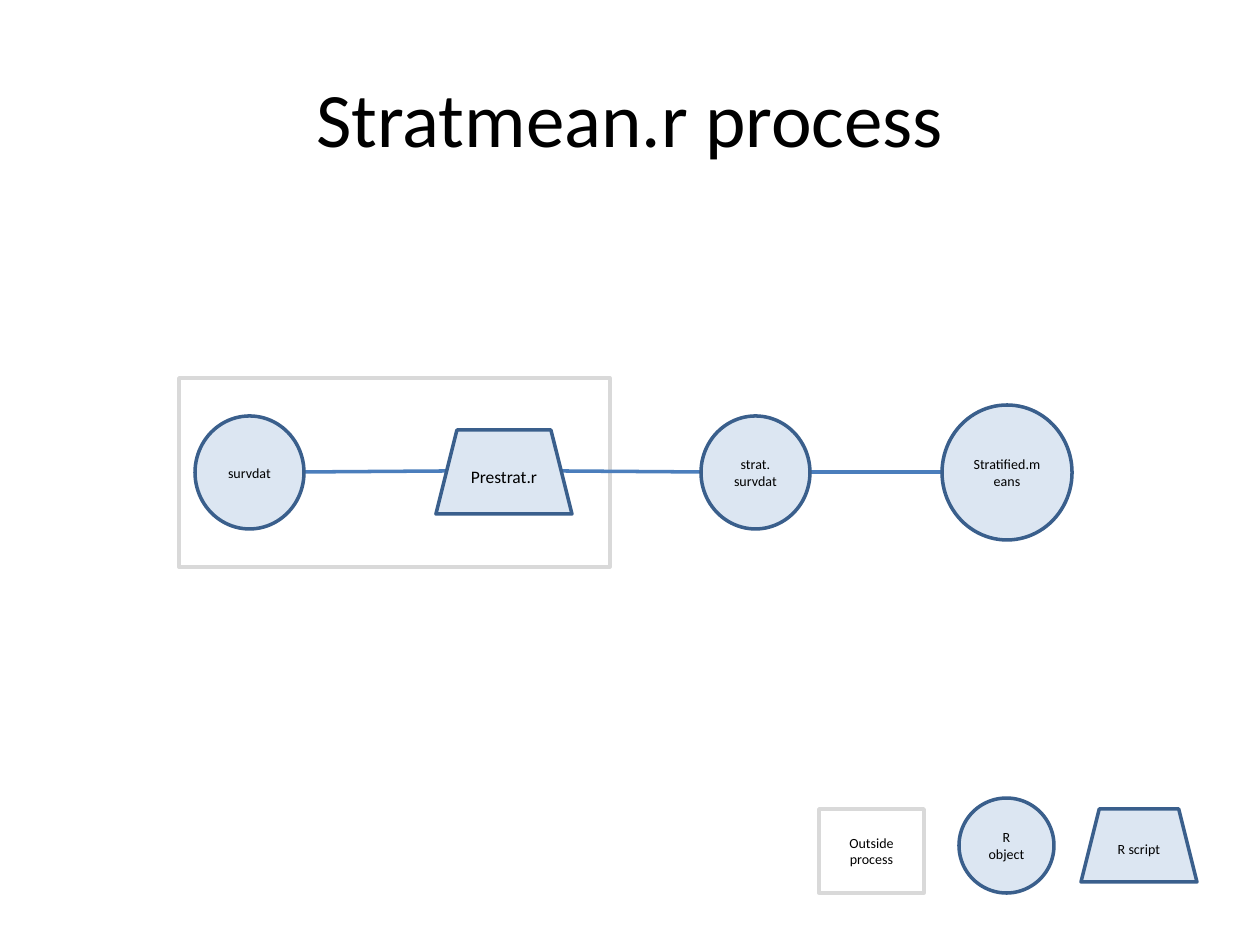
from lxml.etree import SubElement
from pptx import Presentation
from pptx.dml.color import RGBColor
from pptx.enum.shapes import MSO_CONNECTOR as Connector, MSO_SHAPE as Shape
from pptx.enum.text import MSO_ANCHOR as Anchor, PP_ALIGN as Align
from pptx.oxml.ns import qn
from pptx.util import Inches, Pt

BLACK = RGBColor(0x00, 0x00, 0x00)
PALE_BLUE = RGBColor(0xDC, 0xE6, 0xF2)
OUTLINE_BLUE = RGBColor(0x3A, 0x5F, 0x8C)
LINK_BLUE = RGBColor(0x4B, 0x7E, 0xBC)
GREY = RGBColor(0xD9, 0xD9, 0xD9)


class Diagram:
    font = "Calibri"
    line_width = Pt(2)
    pixels_per_inch = 126

    def __init__(self, slide):
        self.slide = slide

    def emu(self, *pixels):
        return [Inches(p / self.pixels_per_inch) for p in pixels]

    def label(self, frame, lines, size):
        frame.word_wrap = True
        frame.vertical_anchor = Anchor.MIDDLE
        for i, line in enumerate(lines):
            paragraph = frame.add_paragraph() if i else frame.paragraphs[0]
            paragraph.alignment = Align.CENTER
            run = paragraph.add_run()
            run.text = line
            run.font.name = self.font
            run.font.size = Pt(size)
            run.font.color.rgb = BLACK

    def title(self, box, text):
        heading = self.slide.shapes.add_textbox(*self.emu(*box))
        self.label(heading.text_frame, [text], 44)

    def node(self, kind, box, lines=(), size=8, fill=PALE_BLUE, outline=OUTLINE_BLUE):
        node = self.slide.shapes.add_shape(kind, *self.emu(*box))
        node.shadow.inherit = False
        if fill is None:
            node.fill.background()
        else:
            node.fill.solid()
            node.fill.fore_color.rgb = fill
        node.line.color.rgb = outline
        node.line.width = self.line_width
        self.label(node.text_frame, lines, size)

    def r_object(self, box, *lines):
        self.node(Shape.OVAL, box, lines)

    def r_script(self, box, name, size=8):
        self.node(Shape.TRAPEZOID, box, [name], size)

    def outside(self, box, *lines):
        self.node(Shape.RECTANGLE, box, lines, fill=None, outline=GREY)

    def link(self, *ends):
        link = self.slide.shapes.add_connector(Connector.STRAIGHT, *self.emu(*ends))
        link.line.color.rgb = LINK_BLUE
        link.line.width = self.line_width
        SubElement(link._element.spPr, qn("a:effectLst"))


deck = Presentation()
deck.slide_width, deck.slide_height = Inches(10), Inches(7.5)
diagram = Diagram(deck.slides.add_slide(deck.slide_layouts[6]))

diagram.title((63, 38, 1134, 157), "Stratmean.r process")

# Process, left to right
diagram.outside((179, 378, 431, 189))
for link_ends in ((305, 472, 446, 471), (562, 471, 701, 472), (810, 472, 942, 472)):
    diagram.link(*link_ends)
diagram.r_object((195, 416, 109, 113), "survdat")
diagram.r_script((436, 430, 136, 84), "Prestrat.r", size=10)
diagram.r_object((701, 416, 109, 113), "strat.", "survdat")
diagram.r_object((942, 405, 130, 135), "Stratified.means")

# Legend
diagram.outside((819, 809, 105, 84), "Outside process")
diagram.r_object((959, 798, 95, 95), "R object")
diagram.r_script((1081, 809, 116, 73), "R script")

deck.save("out.pptx")
